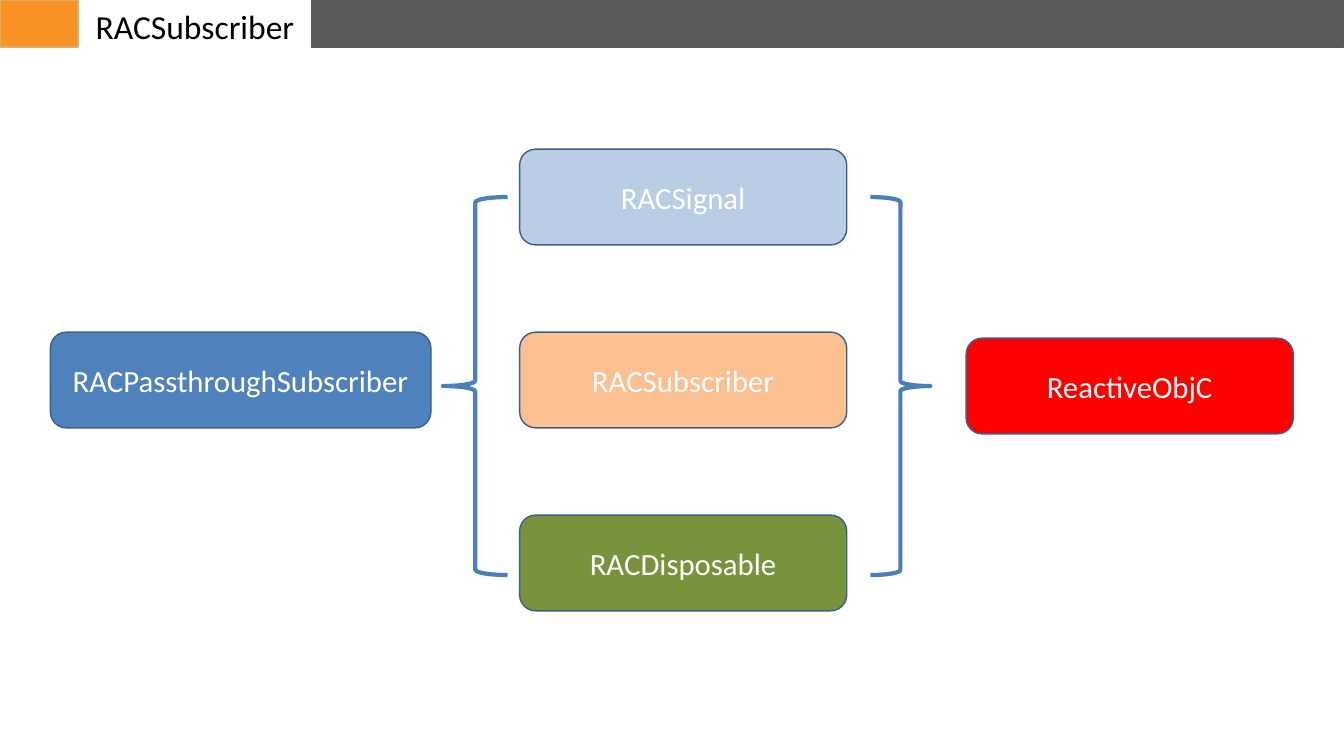
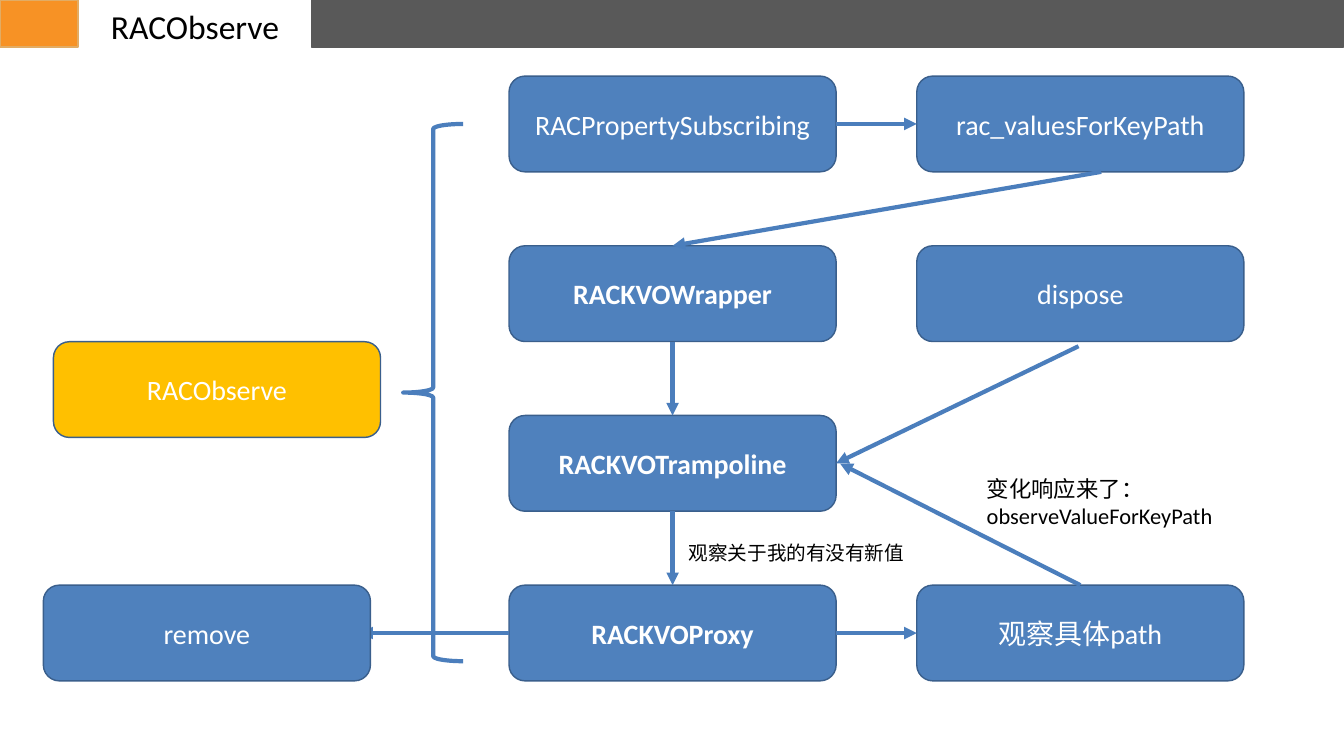
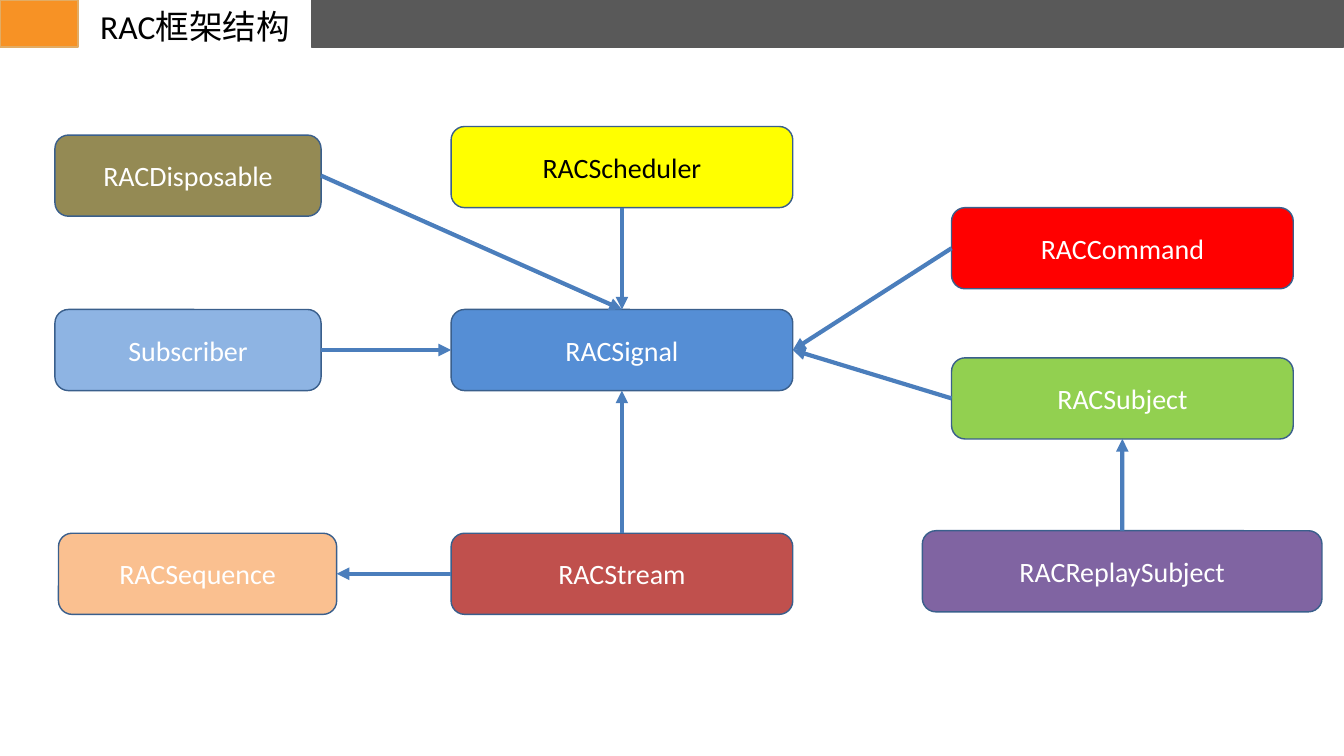
from dataclasses import dataclass
from typing import NamedTuple, Optional, Union

from lxml.etree import SubElement
from pptx import Presentation
from pptx.dml.color import RGBColor
from pptx.enum.shapes import MSO_CONNECTOR, MSO_SHAPE
from pptx.enum.text import MSO_ANCHOR, MSO_AUTO_SIZE, PP_ALIGN
from pptx.oxml.ns import qn
from pptx.util import Inches, Pt

WIDE, HIGH = Inches(26.67), Inches(15)
COLS, ROWS = 80, 45  # every place and size below is in these grid cells
FONT = "Calibri"
TITLE_ONLY = 5
TOP, LEFT, BASE, RIGHT = range(4)  # connection sites of a box

HUES = {
    "white": "FFFFFF", "black": "000000", "band": "595959",
    "tab": "F79225", "trim": "E2AC64", "edge": "3A5F8C", "wire": "4B7EBC",
    "blue": "4F81BD", "pale": "B9CDE5", "sky": "8EB4E3", "azure": "558ED5",
    "peach": "FAC090", "olive": "77933C", "khaki": "948A54", "gold": "FFC000",
    "yellow": "FFFF00", "red": "FF0000", "brick": "C0504D",
    "lime": "92D050", "violet": "8064A2",
}


class Area(NamedTuple):
    """A rectangle in grid cells."""
    col: float
    row: float
    wide: float
    high: float


class Spot(NamedTuple):
    """A free point in grid cells."""
    col: float
    row: float


class Site(NamedTuple):
    """A connection site of the box that bears the given text."""
    text: str
    side: int


@dataclass
class Box:
    """A rounded box with centred text."""
    text: str
    area: Area
    fill: str = "blue"
    ink: str = "white"
    size: int = 40
    bold: bool = False


@dataclass
class Brace:
    """A curly brace."""
    kind: MSO_SHAPE
    area: Area


@dataclass
class Note:
    """A free label."""
    text: str
    area: Area
    size: int


@dataclass
class Link:
    """An arrow that points at its second end."""
    start: Union[Site, Spot]
    end: Union[Site, Spot]


Part = Union[Box, Brace, Note, Link]


def hue(name: str) -> RGBColor:
    """Look up a colour by name."""
    return RGBColor.from_string(HUES[name])


def across(cols: float) -> int:
    """Turn columns into a length."""
    return round(WIDE * cols / COLS)


def down(rows: float) -> int:
    """Turn rows into a length."""
    return round(HIGH * rows / ROWS)


def place(area: Area) -> tuple:
    """Turn an area into left, top, width and height."""
    return across(area.col), down(area.row), across(area.wide), down(area.high)


def write(shape, text: str, *, size: int, ink: str = "black",
          bold: bool = False, align=PP_ALIGN.CENTER,
          anchor=MSO_ANCHOR.MIDDLE, wrap: bool = True, grow: bool = False) -> None:
    """Put formatted text in a shape, one paragraph a line."""
    frame = shape.text_frame
    frame.text = text
    frame.word_wrap = wrap
    frame.vertical_anchor = anchor
    frame.auto_size = MSO_AUTO_SIZE.SHAPE_TO_FIT_TEXT if grow else MSO_AUTO_SIZE.NONE
    for para in frame.paragraphs:
        para.alignment = align
        for run in para.runs:
            font = run.font
            font.name, font.size, font.bold = FONT, Pt(size), bold
            font.color.rgb = hue(ink)


def form(slide, kind, area: Area, fill: Optional[str], line: str, width: float = 2):
    """Draw a preset shape without shadow."""
    shape = slide.shapes.add_shape(kind, *place(area))
    shape.shadow.inherit = False
    if fill:
        shape.fill.solid()
        shape.fill.fore_color.rgb = hue(fill)
    else:
        shape.fill.background()
    shape.line.color.rgb = hue(line)
    shape.line.width = Pt(width)
    return shape


def link(slide, item: Link, boxes: dict) -> None:
    """Draw an arrow, glued to boxes where its ends are sites."""
    wire = slide.shapes.add_connector(MSO_CONNECTOR.STRAIGHT, 0, 0, 0, 0)
    if isinstance(item.start, Site):
        wire.begin_connect(boxes[item.start.text], item.start.side)
    else:
        wire.begin_x, wire.begin_y = across(item.start.col), down(item.start.row)
    if isinstance(item.end, Site):
        wire.end_connect(boxes[item.end.text], item.end.side)
    else:
        wire.end_x, wire.end_y = across(item.end.col), down(item.end.row)
    wire.line.color.rgb = hue("wire")
    wire.line.width = Pt(6)
    SubElement(wire.line._get_or_add_ln(), qn("a:tailEnd"), type="triangle")
    SubElement(wire.element.spPr, qn("a:effectLst"))


def frame(deck, layout) -> None:
    """Draw the header bands on a slide and move them to its layout."""
    slide = deck.slides[0]
    bands = (
        form(slide, MSO_SHAPE.RECTANGLE, Area(18.54, 0, 61.44, 2.79), "band", "band"),
        form(slide, MSO_SHAPE.RECTANGLE, Area(0, 0, 4.65, 2.79), "tab", "trim"),
    )
    for i, band in enumerate(bands):
        band.element.nvSpPr.cNvPr.set("id", str(20 + i))
        layout.shapes.element.insert(2 + i, band.element)


def draw(deck, layout, title: str, parts: list[Part]) -> None:
    """Add a slide with its title and parts, from back to front."""
    slide = deck.slides.add_slide(layout)
    head = slide.shapes.title
    head.left, head.top, head.width, head.height = place(Area(4.68, 0.18, 13.86, 2.73))
    write(head, title, size=48, grow=True)
    boxes = {}
    for part in parts:
        if isinstance(part, Box):
            shape = form(slide, MSO_SHAPE.ROUNDED_RECTANGLE, part.area, part.fill, "edge")
            write(shape, part.text, size=part.size, ink=part.ink, bold=part.bold)
            boxes[part.text] = shape
        elif isinstance(part, Brace):
            form(slide, part.kind, part.area, None, "wire", 6)
        elif isinstance(part, Note):
            label = slide.shapes.add_textbox(*place(part.area))
            write(label, part.text, size=part.size, align=PP_ALIGN.LEFT,
                  anchor=MSO_ANCHOR.TOP, wrap=False, grow=True)
        else:
            link(slide, part, boxes)


def cell(col: float, row: float, wide: float = 19.47) -> Area:
    """Area of a tall box."""
    return Area(col, row, wide, 5.7)


def slot(col: float, row: float, wide: float = 20.34) -> Area:
    """Area of a low box."""
    return Area(col, row, wide, 4.83)


def roles() -> list[Part]:
    """Parts of the subscriber slide."""
    stack = (("RACSignal", "pale"), ("RACSubscriber", "peach"), ("RACDisposable", "olive"))
    return [
        Box("RACPassthroughSubscriber", cell(3, 19.77, 22.65), size=44),
        *(Box(text, cell(30.93, 8.88 + 10.89 * i), fill, size=44)
          for i, (text, fill) in enumerate(stack)),
        Box("ReactiveObjC", cell(57.51, 20.13), "red", size=44),
        Brace(MSO_SHAPE.LEFT_BRACE, Area(26.37, 11.73, 3.84, 22.5)),
        Brace(MSO_SHAPE.RIGHT_BRACE, Area(51.81, 11.73, 3.57, 22.5)),
    ]


def watch() -> list[Part]:
    """Parts of the observe slide."""
    mid, far = 30.3, 54.57
    rows = [4.53 + 10.1 * i for i in range(4)]
    first, wrap, tramp, proxy = chain = (
        "RACPropertySubscribing", "RACKVOWrapper", "RACKVOTrampoline", "RACKVOProxy")
    values, goal = "rac_valuesForKeyPath", "观察具体path"
    return [
        Box("RACObserve", cell(3.18, 20.34), "gold"),
        *(Box(text, cell(mid, row), bold=text != first) for text, row in zip(chain, rows)),
        *(Box(text, cell(far, row))
          for text, row in ((values, rows[0]), ("dispose", rows[1]), (goal, rows[3]))),
        Brace(MSO_SHAPE.LEFT_BRACE, Area(24, 7.38, 3.57, 31.98)),
        Link(Spot(65.55, 10.23), Site(wrap, TOP)),
        Link(Site(wrap, BASE), Site(tramp, TOP)),
        Link(Site(tramp, BASE), Site(proxy, TOP)),
        Link(Site(first, RIGHT), Site(values, LEFT)),
        Note("观察关于我的有没有新值", Area(40.71, 32.07, 13.56, 1.71), 28),
        Link(Site(proxy, RIGHT), Site(goal, LEFT)),
        Link(Site(goal, TOP), Spot(50.01, 27.6)),
        Note("变化响应来了：\nobserveValueForKeyPath", Area(58.44, 28.11, 14.16, 3.54), 32),
        Link(Spot(64.2, 20.61), Site(tramp, RIGHT)),
        Link(Site(proxy, LEFT), Spot(21.45, 37.68)),
        Box("remove", cell(2.58, rows[3])),
    ]


def scheme() -> list[Part]:
    """Parts of the framework slide."""
    near, mid, far = 3.27, 26.85, 56.64
    signal = "RACSignal"
    links = (
        ("RACStream", LEFT, "RACSequence", RIGHT),
        ("RACSubject", LEFT, signal, RIGHT),
        ("Subscriber", RIGHT, signal, LEFT),
        ("RACCommand", LEFT, signal, RIGHT),
        ("RACReplaySubject", TOP, "RACSubject", BASE),
        ("RACStream", TOP, signal, BASE),
        ("RACScheduler", BASE, signal, TOP),
        ("RACDisposable", RIGHT, signal, TOP),
    )
    return [
        Box(signal, slot(mid, 18.42), "azure"),
        Box("Subscriber", slot(near, 18.42, 15.84), "sky"),
        Box("RACSequence", slot(3.48, 31.74, 16.56), "peach"),
        Box("RACStream", slot(mid, 31.74), "brick"),
        Box("RACSubject", slot(far, 21.3), "lime"),
        Box("RACReplaySubject", slot(54.9, 31.59, 23.79), "violet"),
        Box("RACCommand", slot(far, 12.36), "red"),
        Box("RACScheduler", slot(mid, 7.53), "yellow", "black"),
        Box("RACDisposable", slot(near, 8.04, 15.84), "khaki"),
        *(Link(Site(a, out), Site(b, into)) for a, out, b, into in links),
    ]


def main() -> None:
    """Build and save the deck."""
    deck = Presentation()
    deck.slide_width, deck.slide_height = WIDE, HIGH
    layout = deck.slide_layouts[TITLE_ONLY]
    draw(deck, layout, "RACSubscriber", roles())
    draw(deck, layout, "RACObserve", watch())
    draw(deck, layout, "RAC框架结构", scheme())
    frame(deck, layout)
    deck.save("out.pptx")


main()
